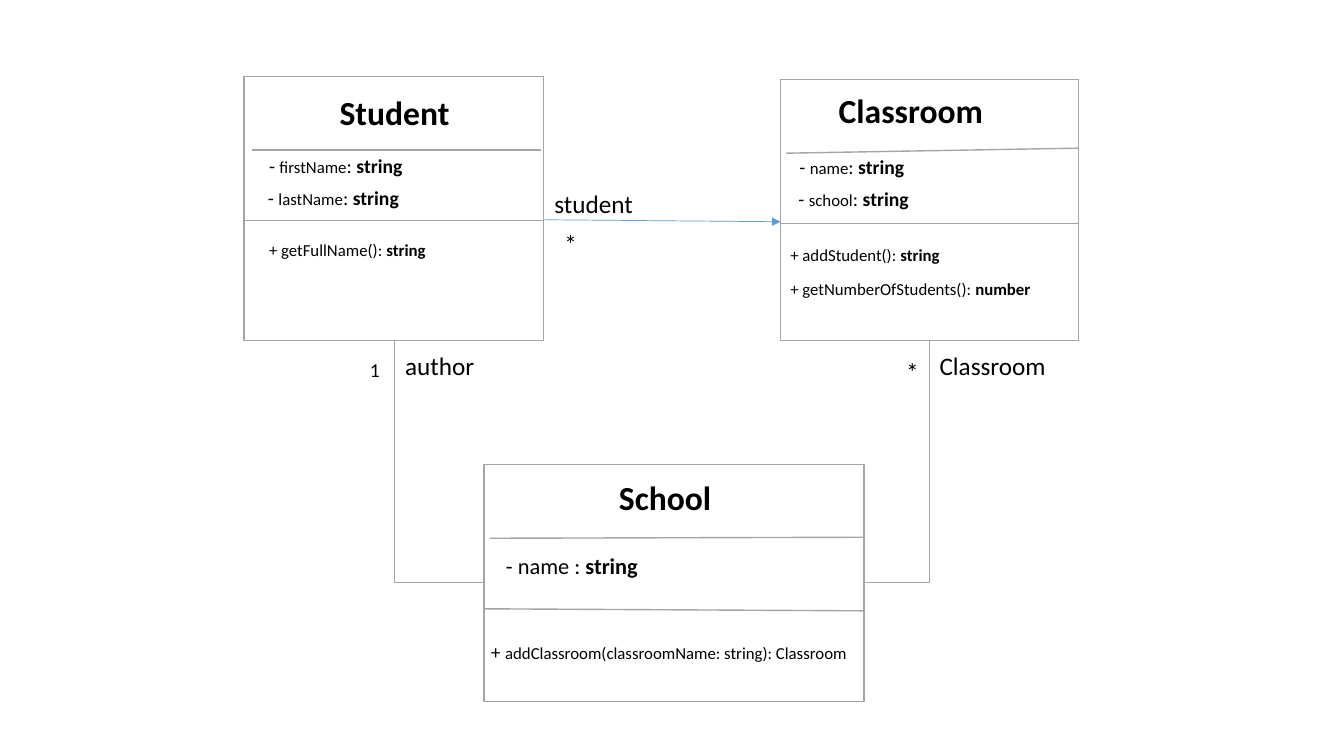
import pptx
import pptx.util
import pptx.dml.color
import pptx.enum.shapes
import pptx.enum.text
import pptx.oxml
from pptx.util import Inches

WHITE = pptx.dml.color.RGBColor(0xFF, 0xFF, 0xFF)
BLACK = pptx.dml.color.RGBColor(0, 0, 0)
GRAY = pptx.dml.color.RGBColor(0xA5, 0xA5, 0xA5)
BLUE = pptx.dml.color.RGBColor(0x5B, 0x9B, 0xD5)
KIND = pptx.enum.shapes.MSO_CONNECTOR
NS = 'xmlns:a="http://schemas.openxmlformats.org/drawingml/2006/main"'


class Board:
    """Draws class diagram parts on one slide in a shared style."""

    def __init__(self, slide):
        self.shapes = slide.shapes
        self.font = "Calibri"

    def text(self, x, y, w, h, runs, wrap=True):
        box = self.shapes.add_textbox(Inches(x), Inches(y), Inches(w), Inches(h))
        frame = box.text_frame
        look = {"word_wrap": wrap, "auto_size": pptx.enum.text.MSO_AUTO_SIZE.SHAPE_TO_FIT_TEXT}
        for key, value in look.items():
            setattr(frame, key, value)
        for words, size, bold in runs:
            run = frame.paragraphs[0].add_run()
            run.text = words
            style = {"name": self.font, "size": pptx.util.Pt(size), "bold": bold}
            for key, value in style.items():
                setattr(run.font, key, value)
            run.font.color.rgb = BLACK

    def label(self, x, y, w, words, size=18):
        self.text(x, y, w, 0.4 if size == 18 else 0.34, [(words, size, False)], wrap=False)

    def field(self, x, y, name):
        runs = [("- ", 14, False), (name, 12, False), (": ", 14, False), ("string", 14, True)]
        self.text(x, y, 2.24, 0.34, runs)

    def method(self, x, y, w, name, kind):
        self.text(x, y, w, 0.3, [(f"+ {name}(): ", 12, False), (kind, 12, True)])

    def frame(self, x, y, w, h):
        box = self.shapes.add_shape(
            pptx.enum.shapes.MSO_SHAPE.RECTANGLE, Inches(x), Inches(y), Inches(w), Inches(h))
        box.shadow.inherit = False
        box.fill.solid()
        box.fill.fore_color.rgb = WHITE
        box.line.color.rgb = GRAY
        box.line.width = pptx.util.Pt(1)

    def title(self, x, y, w, words):
        self.text(x, y, w, 0.5, [(words, 24, True)])

    def line(self, x1, y1, x2, y2, color=GRAY, width=1, kind=KIND.STRAIGHT):
        link = self.shapes.add_connector(kind, Inches(x1), Inches(y1), Inches(x2), Inches(y2))
        link.line.color.rgb = color
        link.line.width = pptx.util.Pt(width)
        link._element.spPr.append(pptx.oxml.parse_xml(f"<a:effectLst {NS}/>"))
        return link

    def arrow(self, x1, y1, x2, y2):
        link = self.line(x1, y1, x2, y2, BLUE, 0.5)
        link.line._get_or_add_ln().append(
            pptx.oxml.parse_xml(f'<a:tailEnd {NS} type="triangle"/>'))

    def bend(self, x1, y1, x2, y2):
        midx, midy = (x1 + x2) / 2, (y1 + y2) / 2
        side = 1 if x2 < x1 else -1
        halfw, halfh = side * (y2 - y1) / 2, abs(x2 - x1) / 2
        link = self.line(midx - halfw, midy - halfh, midx + halfw, midy + halfh,
                         GRAY, 0.5, KIND.ELBOW)
        form = link._element.spPr
        form.prstGeom.set("prst", "bentConnector2")
        form.xfrm.set("rot", str((90 if side == 1 else 270) * 60000))


def main():
    deck = pptx.Presentation()
    deck.slide_width, deck.slide_height = Inches(13.33), Inches(7.5)
    board = Board(deck.slides.add_slide(deck.slide_layouts[6]))

    board.frame(2.42, 0.76, 2.97, 2.62)
    board.title(3.27, 0.86, 1.66, "Student")
    board.line(2.5, 1.49, 5.37, 1.49)
    board.field(2.57, 1.48, "firstName")
    board.field(2.56, 1.8, "lastName")
    board.line(2.43, 2.19, 5.39, 2.19)
    board.method(2.57, 2.33, 2.24, "getFullName", "string")

    board.frame(7.74, 0.79, 2.96, 2.59)
    board.title(8.22, 0.84, 2.07, "Classroom")
    board.line(7.8, 1.52, 10.7, 1.47)
    board.field(7.83, 1.49, "name")
    board.field(7.82, 1.81, "school")
    board.line(7.75, 2.22, 10.7, 2.22)
    board.method(7.74, 2.38, 2.15, "addStudent", "string")
    board.method(7.74, 2.72, 3.28, "getNumberOfStudents", "number")

    board.frame(4.8, 4.61, 3.77, 2.35)
    board.title(6.04, 4.68, 1.36, "School")
    board.line(4.86, 5.34, 8.57, 5.33)
    board.text(4.92, 5.43, 1.52, 0.37, [("- name : ", 16, False), ("string", 16, True)], wrap=False)
    board.line(4.81, 6.04, 8.57, 6.06)
    board.text(4.77, 6.3, 3.78, 0.34,
               [("+ ", 14, False), ("addClassroom(classroomName: string): Classroom", 12, False)],
               wrap=False)

    board.bend(9.22, 3.38, 8.57, 5.78)
    board.bend(3.91, 3.38, 4.8, 5.78)
    board.arrow(5.4, 2.18, 7.74, 2.2)
    board.label(5.4, 1.82, 0.99, "student")
    board.label(5.5, 2.22, 0.33, "*")
    board.label(3.57, 3.5, 0.3, "1", 14)
    board.label(3.92, 3.43, 0.89, "author")
    board.label(8.89, 3.49, 0.33, "*")
    board.label(9.22, 3.43, 1.26, "Classroom")
    deck.save("out.pptx")


if __name__ == "__main__":
    main()
